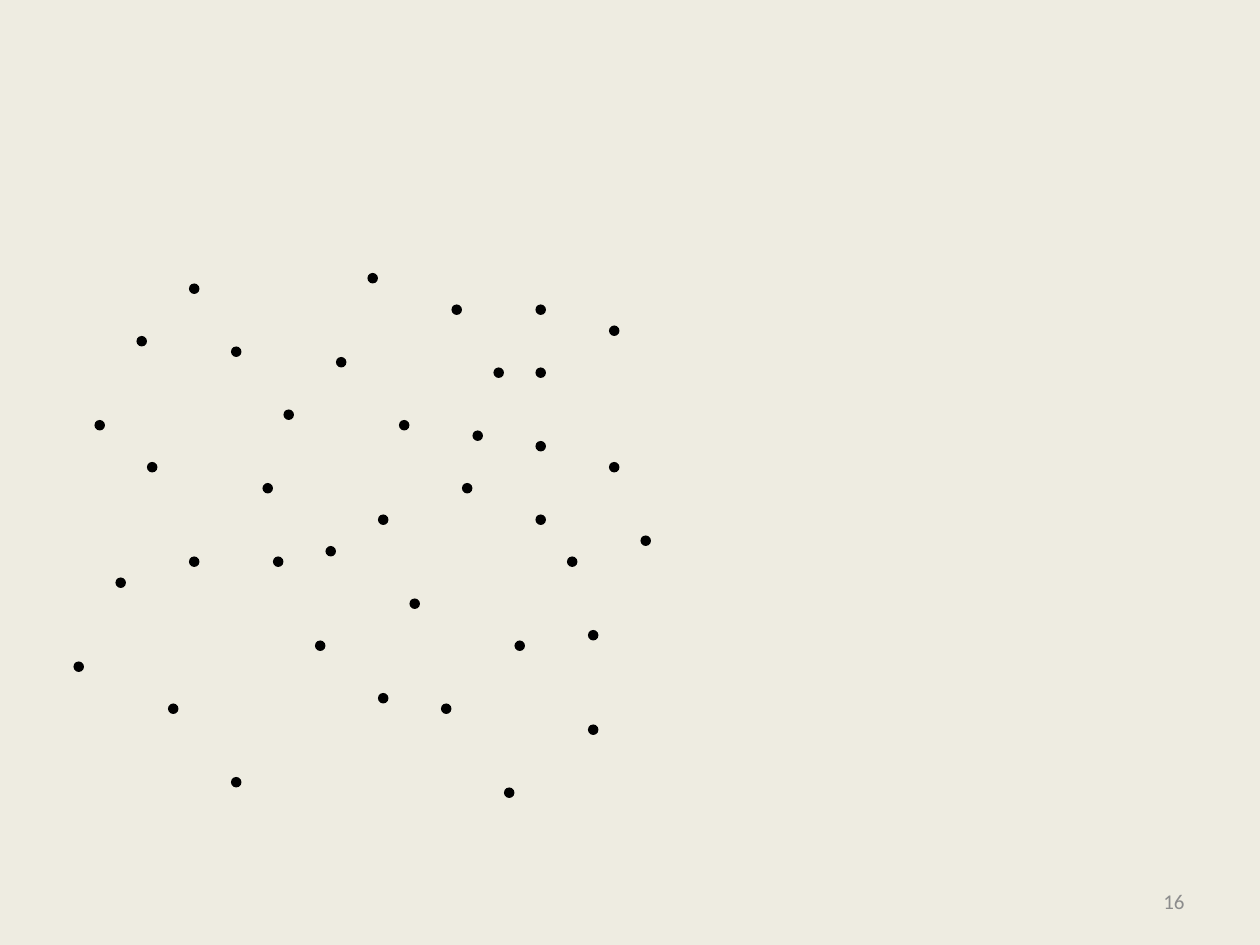
from pptx import Presentation
from pptx import util as u
from pptx.dml.color import RGBColor
from pptx.enum import shapes, text

PAGE_NUMBER = "16"
POINTS = [
    (25, 46), (58, 44), (22, 33), (43, 29), (16, 67), (14, 44), (48, 75), (51, 35),
    (56, 60), (30, 61), (54, 53), (49, 61), (38, 40), (42, 67), (26, 53), (44, 46),
    (36, 66), (32, 34), (18, 53), (27, 39), (31, 52), (39, 57), (36, 49), (9, 40),
    (18, 27), (13, 32), (7, 63), (22, 74), (11, 55), (58, 31), (35, 26), (47, 35),
    (51, 42), (51, 29), (45, 41), (51, 49), (61, 51), (56, 69),
]
GRID = u.Inches(1 / 12)
THEME = {
    "background": RGBColor.from_string("EEECE1"),
    "dot": RGBColor.from_string("000000"),
    "number": RGBColor.from_string("8C8C8C"),
    "font": "Calibri",
    "number_size": u.Pt(12),
}


def add_page_number(s):
    box = s.shapes.add_textbox(u.Inches(7.17), u.Inches(6.95), u.Inches(2.33), u.Inches(0.4))
    tf = box.text_frame
    tf.word_wrap = True
    tf.vertical_anchor = text.MSO_ANCHOR.MIDDLE
    p = tf.paragraphs[0]
    p.text = PAGE_NUMBER
    p.alignment = text.PP_ALIGN.RIGHT
    p.font.name = THEME["font"]
    p.font.size = THEME["number_size"]
    p.font.color.rgb = THEME["number"]


def add_dot(s, column, row):
    sp = s.shapes.add_shape(shapes.MSO_SHAPE.OVAL, column * GRID, row * GRID, GRID, GRID)
    sp.shadow.inherit = False
    sp.fill.solid()
    sp.fill.fore_color.rgb = THEME["dot"]
    sp.line.fill.background()


def main():
    prs = Presentation()
    prs.slide_width, prs.slide_height = u.Inches(10), u.Inches(7.5)
    s = prs.slides.add_slide(prs.slide_layouts[6])
    s.background.fill.solid()
    s.background.fill.fore_color.rgb = THEME["background"]
    add_page_number(s)
    for column, row in POINTS:
        add_dot(s, column, row)
    prs.save("out.pptx")


if __name__ == "__main__":
    main()
